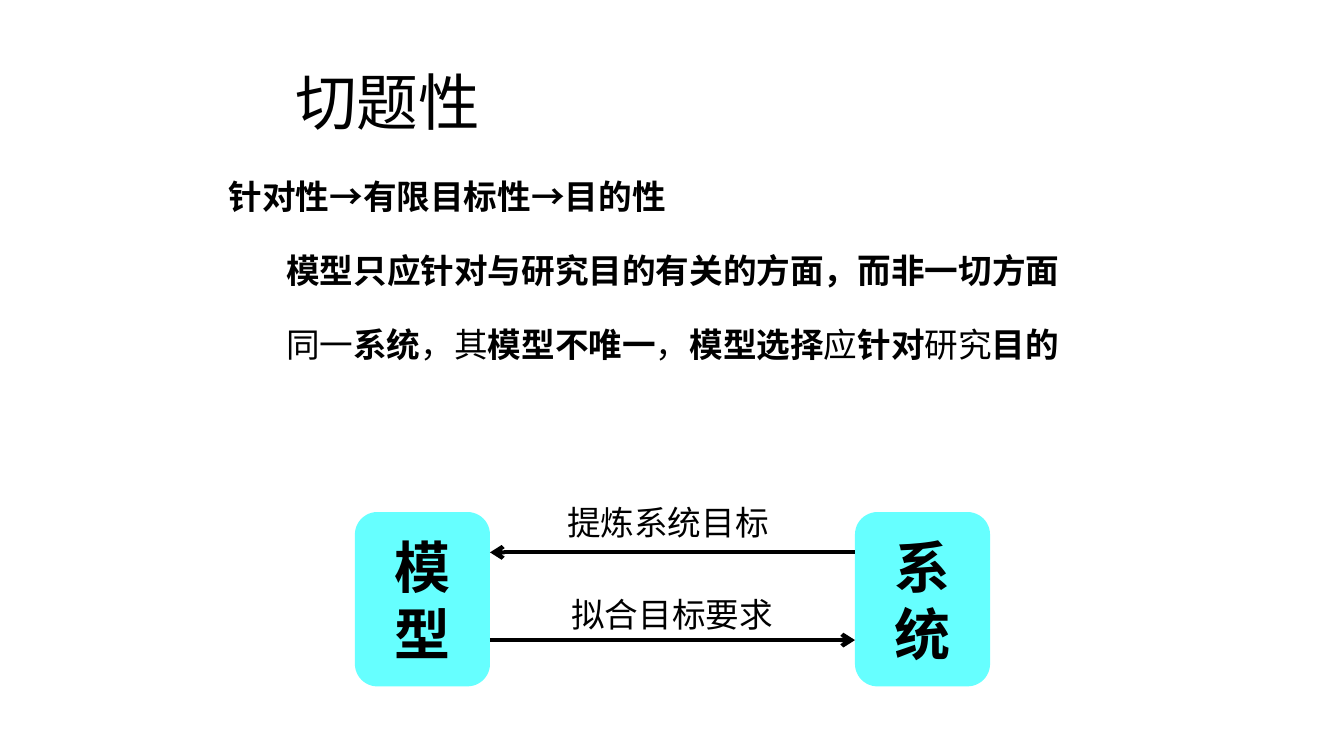
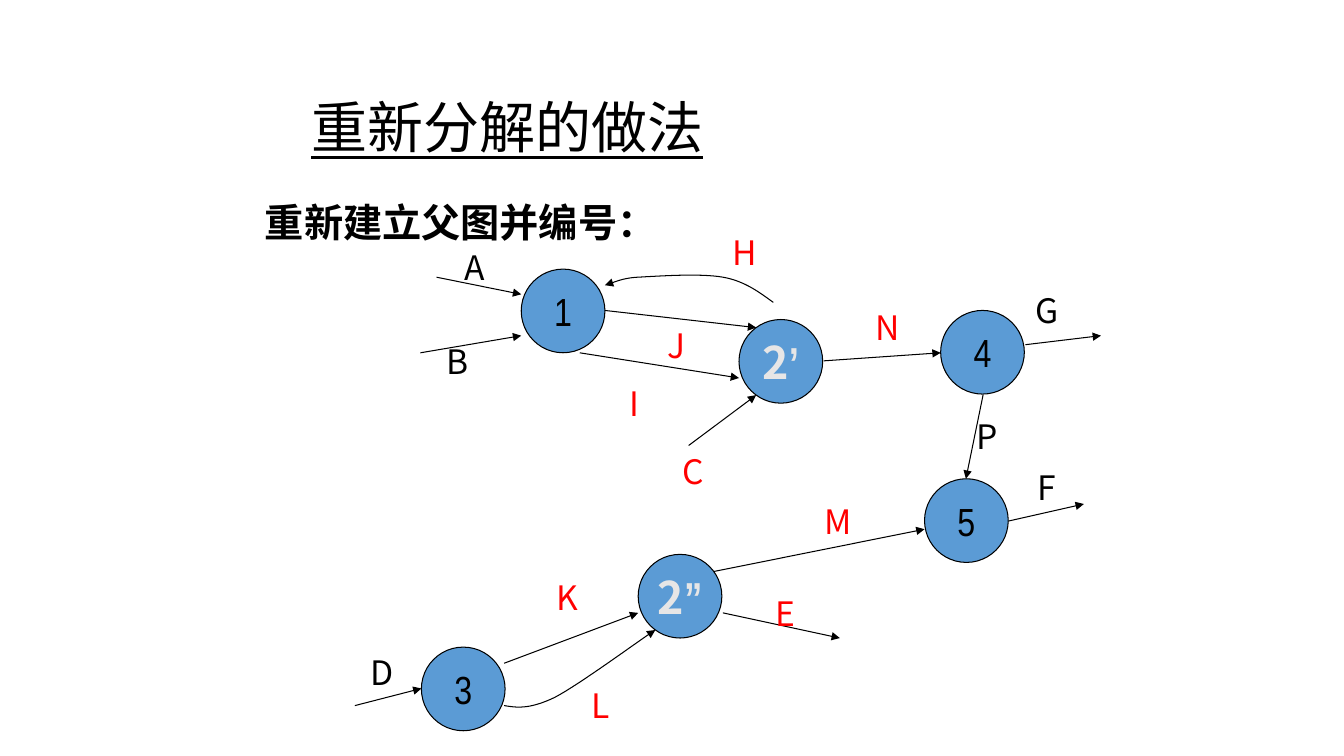
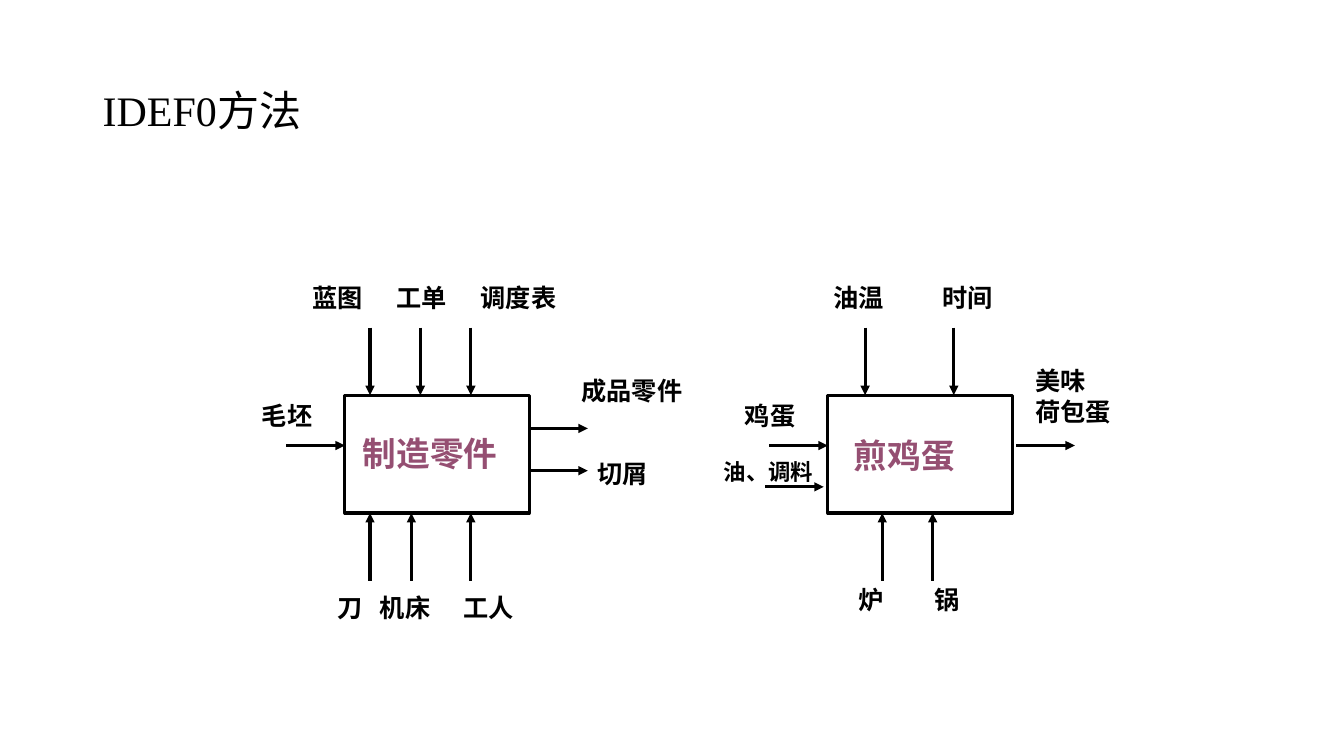
from lxml import etree
from pptx import Presentation
from pptx.dml.color import RGBColor
from pptx.enum import shapes, text
from pptx.oxml.ns import qn
from pptx.util import Inches, Pt

COLORS = {
    "ink": "000000",
    "cyan": "66FFFF",
    "blue": "5B9BD5",
    "red": "FF0000",
    "pale": "E7E6E6",
    "plum": "954F72",
}
SANS = "Noto Sans CJK SC"
NARROW = "Arial Narrow"
SERIF = "Times New Roman"
ALIGN = text.PP_ALIGN
NODE_SIZE = 0.83


def rgb(name):
    return RGBColor.from_string(COLORS[name])


def style_run(run, size, font=SANS, color="ink", bold=False, underline=False):
    run.font.size = Pt(size)
    run.font.bold = bold
    run.font.underline = underline
    run.font.color.rgb = rgb(color)
    run.font.name = font
    properties = run.font._element
    etree.SubElement(properties, qn("a:ea")).set("typeface", SANS)


def write(shape, content, align=ALIGN.LEFT, wrap=True, middle=False, **style):
    """Fill a shape with text, one paragraph a line, all runs alike."""
    frame = shape.text_frame
    frame.text = content
    frame.word_wrap = wrap
    frame.vertical_anchor = text.MSO_ANCHOR.MIDDLE if middle else text.MSO_ANCHOR.TOP
    for paragraph in frame.paragraphs:
        paragraph.alignment = align
        for run in paragraph.runs:
            style_run(run, **style)


def add_text(slide, box, content, **options):
    shape = slide.shapes.add_textbox(*map(Inches, box))
    write(shape, content, **options)
    return shape


def add_title(slide, box, content, **style):
    title = add_text(slide, box, content, middle=True, **style)
    title.text_frame.paragraphs[0].line_spacing = 0.9


def add_box(slide, kind, box, fill=None, line_width=None):
    shape = slide.shapes.add_shape(kind, *map(Inches, box))
    shape.shadow.inherit = False
    if fill:
        shape.fill.solid()
        shape.fill.fore_color.rgb = rgb(fill)
    else:
        shape.fill.background()
    if line_width:
        shape.line.color.rgb = rgb("ink")
        shape.line.width = Pt(line_width)
    else:
        shape.line.fill.background()
    return shape


def style_arrow(shape, width, head):
    shape.line.color.rgb = rgb("ink")
    shape.line.width = Pt(width)
    line = shape.element.spPr.find(qn("a:ln"))
    etree.SubElement(line, qn("a:tailEnd")).set("type", head)


def add_arrow(slide, start, end, width, head="triangle"):
    points = map(Inches, (*start, *end))
    arrow = slide.shapes.add_connector(shapes.MSO_CONNECTOR.STRAIGHT, *points)
    style_arrow(arrow, width, head)
    etree.SubElement(arrow.element.spPr, qn("a:effectLst"))


def bezier_points(start, curves, steps=16):
    """Points along joined cubic curves, each given as two handles and an end."""
    for first, second, end in curves:
        for step in range(1, steps + 1):
            t = step / steps
            weights = ((1 - t) ** 3, 3 * t * (1 - t) ** 2, 3 * t**2 * (1 - t), t**3)
            corners = (start, first, second, end)
            yield tuple(
                Inches(sum(w * corner[axis] for w, corner in zip(weights, corners)))
                for axis in (0, 1)
            )
        start = end


def add_curved_arrow(slide, start, curves, width):
    builder = slide.shapes.build_freeform(Inches(start[0]), Inches(start[1]))
    builder.add_line_segments(bezier_points(start, curves), close=False)
    curve = builder.convert_to_shape()
    curve.shadow.inherit = False
    curve.fill.background()
    style_arrow(curve, width, "triangle")


def add_relevance_points(slide, box):
    lines = [
        [("针对性→有限目标性→目的性", True)],
        [("模型只应针对与研究目的有关的方面，而非一切方面", True)],
        [("同一", False), ("系统", True), ("，其", False), ("模型不唯一", True),
         ("，", False), ("模型选择", True), ("应", False), ("针对", True),
         ("研究", False), ("目的", True)],
    ]
    frame = slide.shapes.add_textbox(*map(Inches, box)).text_frame
    frame.word_wrap = True
    for index, runs in enumerate(lines):
        paragraph = frame.add_paragraph() if index else frame.paragraphs[0]
        paragraph.alignment = ALIGN.JUSTIFY
        if index:
            paragraph.level = 1
            paragraph.space_before = Pt(24)
            properties = paragraph._p.get_or_add_pPr()
            properties.set("marL", str(Inches(0.57)))
            properties.set("indent", "0")
        for content, bold in runs:
            run = paragraph.add_run()
            run.text = content
            style_run(run, 24, bold=bold)


def add_model_system_loop(slide, left, top):
    width, height, span = 1.34, 1.73, 4.96
    for name, x in (("模型", left), ("系统", left + span)):
        card = add_box(slide, shapes.MSO_SHAPE.ROUNDED_RECTANGLE,
                       (x, top, width, height), "cyan")
        write(card, name, ALIGN.CENTER, middle=True, size=40, bold=True)
    model_edge, system_edge = left + width, left + span
    flows = [
        ("提炼系统目标", 0.4, system_edge, model_edge, 1.41, -0.15),
        ("拟合目标要求", 1.27, model_edge, system_edge, 1.45, 0.76),
    ]
    for label, y, start, end, label_x, label_y in flows:
        add_arrow(slide, (start, top + y), (end, top + y), 3, "arrow")
        add_text(slide, (left + label_x, top + label_y, 3.39, 0.51), label,
                 align=ALIGN.CENTER, size=24)


def build_relevance_slide(slide):
    add_title(slide, (2.83, 0.55, 7.75, 1), "切题性", size=44)
    add_relevance_points(slide, (2.17, 1.7, 8.92, 1.99))
    add_model_system_loop(slide, 3.52, 5.08)


def add_node(slide, left, top, number, prime=""):
    node = add_box(slide, shapes.MSO_SHAPE.FLOWCHART_CONNECTOR,
                   (left, top, NODE_SIZE, NODE_SIZE), "blue", 0.75)
    options = dict(align=ALIGN.CENTER, wrap=False, middle=True)
    if not prime:
        write(node, number, size=28, font=NARROW, **options)
        return
    write(node, number, size=32, color="pale", bold=True, **options)
    run = node.text_frame.paragraphs[0].add_run()
    run.text = prime
    style_run(run, 32, NARROW, "pale", True)


def add_flow_graph(slide, left, top):
    """Draw the numbered processes and the lettered flows between them."""
    def at(x, y):
        return left + x, top + y

    nodes = [
        (1.65, 0.42, "1"), (0.66, 4.17, "3"), (5.81, 0.83, "4"),
        (5.65, 2.5, "5"), (2.81, 3.25, "2", "”"), (3.81, 0.92, "2", "’"),
    ]
    for x, y, *name in nodes:
        add_node(slide, *at(x, y), *name)

    flows = [
        ((2.48, 0.83), (3.98, 1)), ((6.23, 1.67), (6.06, 2.5)),
        ((6.48, 2.92), (7.23, 2.75)), ((0, 4.75), (0.66, 4.58)),
        ((3.65, 3.83), (4.81, 4.08)), ((0.81, 0.5), (1.65, 0.67)),
        ((0.65, 1.25), (1.65, 1.08)), ((6.65, 1.17), (7.4, 1.08)),
        ((2.23, 1.25), (3.81, 1.5)), ((1.48, 4.33), (2.81, 3.83)),
        ((3.56, 3.42), (5.65, 3)), ((3.31, 2.17), (3.98, 1.67)),
        ((4.65, 1.33), (5.81, 1.25)),
    ]
    for start, end in flows:
        add_arrow(slide, at(*start), at(*end), 0.75)

    curved_flows = [
        ((4.15, 0.75), [((4.01, 0.65), (3.87, 0.54), (3.65, 0.5)),
                        ((3.42, 0.46), (3.01, 0.49), (2.81, 0.5)),
                        ((2.62, 0.51), (2.54, 0.57), (2.48, 0.58))]),
        ((1.48, 4.75), [((1.6, 4.77), (1.73, 4.79), (1.98, 4.67)),
                        ((2.23, 4.54), (2.81, 4.11), (2.98, 4))]),
    ]
    for start, curves in curved_flows:
        placed = [[at(*point) for point in curve] for curve in curves]
        add_curved_arrow(slide, at(*start), placed, 0.75)

    labels = {
        "ink": [("A", 0.98, 0.15), ("B", 0.81, 1.08), ("P", 6.06, 1.83),
                ("G", 6.65, 0.58), ("F", 6.65, 2.33), ("D", 0.06, 4.17)],
        "red": [("J", 2.98, 0.92), ("K", 1.9, 3.42), ("C", 3.15, 2.17),
                ("M", 4.56, 2.67), ("L", 2.23, 4.5), ("E", 4.06, 3.58),
                ("H", 3.65, 0), ("N", 5.06, 0.75), ("I", 2.56, 1.5)],
    }
    for color, letters in labels.items():
        for letter, x, y in letters:
            add_text(slide, (*at(x, y), 0.42, 0.51), letter,
                     align=ALIGN.CENTER, size=24, color=color)


def build_decomposition_slide(slide):
    add_title(slide, (2.99, 0.67, 7.9, 1.25), "重新分解的做法", size=40, underline=True)
    add_text(slide, (2.5, 1.92, 3.75, 0.57), "重新建立父图并编号：",
             align=ALIGN.CENTER, size=28, font=NARROW, bold=True)
    add_flow_graph(slide, 3.52, 2.25)


def add_label(slide, left, top, content, size=18, color="ink"):
    lines = content.split("\n")
    width = 0.2 + max(map(len, lines)) * size / 72
    height = 0.1 + len(lines) * size / 60
    add_text(slide, (left, top, width, height), content,
             wrap=False, size=size, font=SERIF, color=color, bold=True)


def add_activity(slide, left, top, name, name_at, ports, labels):
    """Draw an activity box; ports hold side, offset along it and gap from it."""
    width, height, across, down = 1.83, 1.17, 0.58, 0.67
    right, bottom = left + width, top + height
    add_box(slide, shapes.MSO_SHAPE.RECTANGLE, (left, top, width, height), line_width=2.25)
    for side, offset, gap in ports:
        x, y = left + offset, top + offset
        start, end = {
            "control": ((x, top - down), (x, top)),
            "mechanism": ((x, bottom + down), (x, bottom)),
            "input": ((left - gap - across, y), (left - gap, y)),
            "output": ((right + gap, y), (right + gap + across, y)),
        }[side]
        add_arrow(slide, start, end, 2.25)
    add_label(slide, left + name_at[0], top + name_at[1], name, 24, "plum")
    for content, x, y, *size in labels:
        add_label(slide, left + x, top + y, content, *size)


def build_idef0_slide(slide):
    add_title(slide, (0.92, 0.4, 11.5, 1.45), "IDEF0方法", size=30, font=SERIF)
    add_activity(
        slide, 3.42, 3.92, "制造零件", (0.08, 0.33),
        [("control", 0.25, 0), ("control", 0.75, 0), ("control", 1.25, 0),
         ("mechanism", 0.25, 0), ("mechanism", 0.66, 0), ("mechanism", 1.25, 0),
         ("input", 0.5, 0), ("output", 0.33, 0), ("output", 0.75, 0)],
        [("蓝图", -0.42, -1.17), ("工单", 0.41, -1.17), ("调度表", 1.25, -1.17),
         ("刀", -0.17, 1.91), ("机床", 0.25, 1.91), ("工人", 1.08, 1.91),
         ("毛坯", -0.92, 0), ("成品零件", 2.25, -0.25), ("切屑", 2.41, 0.58)],
    )
    add_activity(
        slide, 8.21, 3.92, "煎鸡蛋", (0.16, 0.35),
        [("control", 0.37, 0), ("control", 1.25, 0),
         ("mechanism", 0.54, 0), ("mechanism", 1.04, 0),
         ("input", 0.5, 0), ("input", 0.91, 0.04), ("output", 0.5, 0.04)],
        [("油温", -0.04, -1.17), ("时间", 1.04, -1.17),
         ("炉", 0.21, 1.83), ("锅", 0.96, 1.83),
         ("鸡蛋", -0.92, 0), ("油、调料", -1.13, 0.58, 16),
         ("美味\n荷包蛋", 1.96, -0.34)],
    )


def main():
    presentation = Presentation()
    presentation.slide_width = Inches(13.33)
    presentation.slide_height = Inches(7.5)
    blank = presentation.slide_layouts[6]
    for build in (build_relevance_slide, build_decomposition_slide, build_idef0_slide):
        build(presentation.slides.add_slide(blank))
    presentation.save("out.pptx")


if __name__ == "__main__":
    main()
